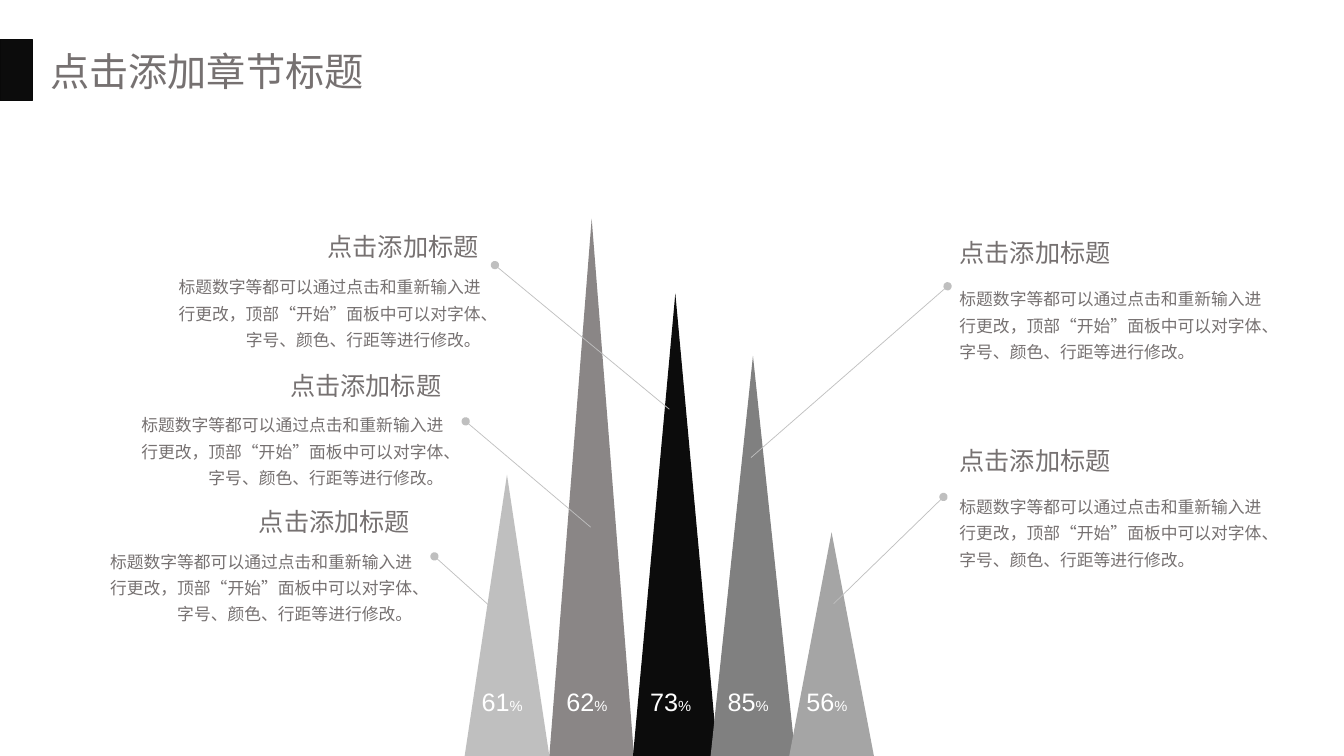
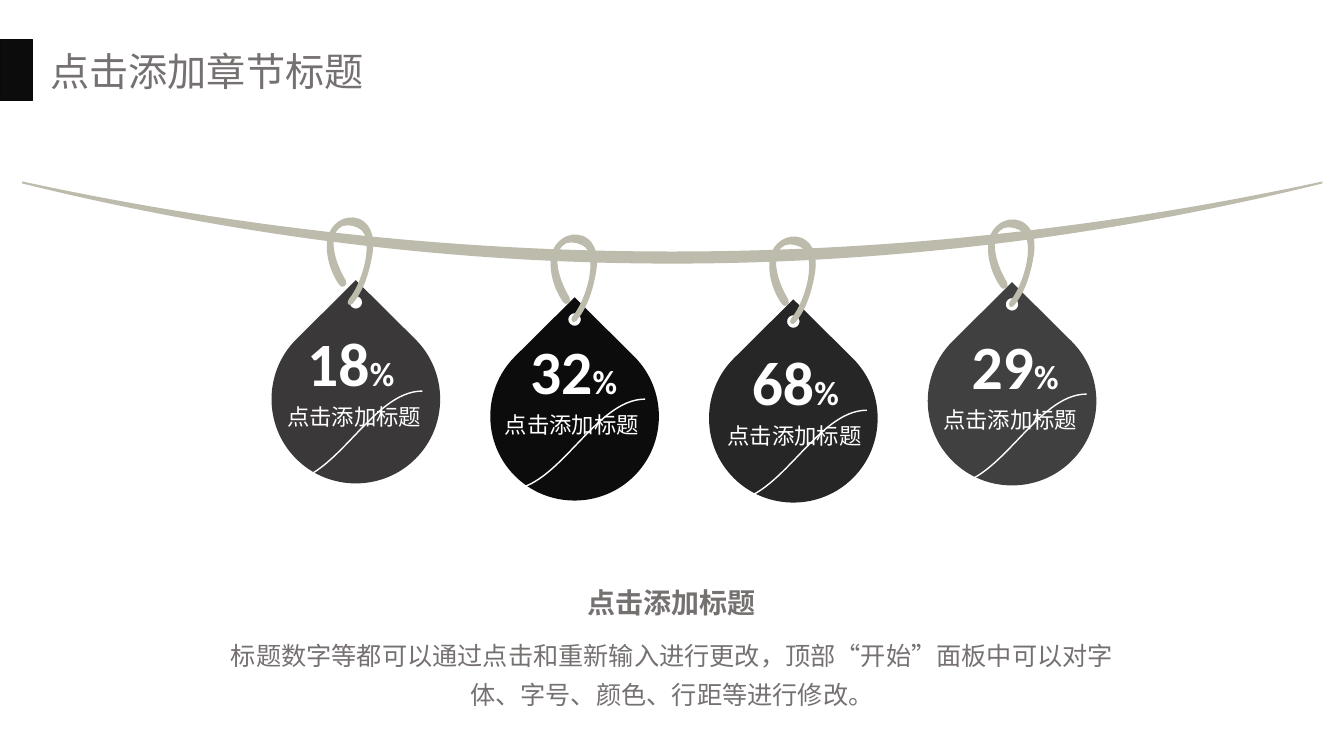
from dataclasses import dataclass
from typing import Optional

from lxml import etree
from pptx import Presentation
from pptx.dml.color import RGBColor
from pptx.enum import shapes, text
from pptx.oxml.ns import qn
from pptx.util import Inches, Pt

COLUMNS, ROWS = 133.33, 75
Point = tuple[float, float]


@dataclass(frozen=True)
class Theme:
    ink: str = "0C0C0C"
    band_edge: str = "090909"
    gray: str = "767171"
    pale: str = "BFBFBF"
    rope: str = "BDBBAB"
    white: str = "FFFFFF"
    cjk: str = "Noto Sans CJK SC"
    sans: str = "Arial"
    body: str = "Calibri"
    title_size: float = 28
    head_size: float = 18
    note_size: float = 12
    label_size: float = 16
    summary_head_size: float = 20


THEME = Theme()


@dataclass(frozen=True)
class TextStyle:
    size: float
    font: str = THEME.cjk
    color: str = THEME.gray
    bold: bool = False
    align: text.PP_ALIGN = text.PP_ALIGN.LEFT
    spacing: float = 1.0
    wrap: bool = False
    unit_size: Optional[float] = None


@dataclass(frozen=True)
class Spike:
    left: float
    top: float
    color: str
    value: str


@dataclass(frozen=True)
class Leader:
    start: Point
    end: Point


@dataclass(frozen=True)
class Note:
    left: float
    top: float
    right_aligned: bool = False


@dataclass(frozen=True)
class Tag:
    apex: Point
    value: str
    color: str
    value_at: Point
    label_left: float
    loop_shift: float = 0


CHAPTER = "点击添加章节标题"
HEADING = "点击添加标题"
DESCRIPTION = ("标题数字等都可以通过点击和重新输入进行更改，顶部“开始”面板中"
               "可以对字体、字号、颜色、行距等进行修改。")

TITLE = TextStyle(THEME.title_size)
HEAD = TextStyle(THEME.head_size)
SPIKE_VALUE = TextStyle(18, THEME.sans, THEME.white, unit_size=10.5)
TAG_VALUE = TextStyle(44, THEME.body, THEME.white, bold=True, unit_size=24)
TAG_LABEL = TextStyle(THEME.label_size, THEME.sans, THEME.white)
NOTE_LEFT = TextStyle(THEME.note_size, THEME.body, spacing=1.3, wrap=True)
NOTE_RIGHT = TextStyle(THEME.note_size, THEME.body, align=text.PP_ALIGN.RIGHT,
                       spacing=1.3, wrap=True)
SUMMARY = TextStyle(THEME.head_size, align=text.PP_ALIGN.CENTER, spacing=1.3, wrap=True)
SUMMARY_HEAD = TextStyle(THEME.summary_head_size, THEME.sans, bold=True,
                         align=text.PP_ALIGN.CENTER)

SPIKE_WIDTH = 8.4
SPIKES = [
    Spike(46.1, 47.1, THEME.pale, "61"),
    Spike(54.5, 21.7, "8A8686", "62"),
    Spike(62.8, 29.1, THEME.ink, "73"),
    Spike(70.5, 35.3, "808080", "85"),
    Spike(78.3, 52.8, "A5A5A5", "56"),
]
LEADERS = [
    Leader((82.7, 59.9), (93.6, 49.3)),
    Leader((74.5, 45.4), (94, 28.4)),
    Leader((66.4, 40.6), (49.1, 26.3)),
    Leader((58.6, 52.3), (46.2, 41.8)),
    Leader((49.9, 61.3), (43.1, 55.2)),
]
NOTE_WIDTH, NOTE_HEIGHT, HEAD_WIDTH = 33, 8.9, 17.2
NOTES = [
    Note(94.2, 23.1),
    Note(94.2, 43.7),
    Note(15.7, 22.5, True),
    Note(12, 36.2, True),
    Note(8.9, 49.7, True),
]
TAGS = [
    Tag((35.3, 27.8), "18", "3A3838", (29.5, 31.7), 27.5, -0.5),
    Tag((57, 29.5), "32", THEME.ink, (51.6, 32.5), 49.1),
    Tag((78.7, 29.7), "68", "262626", (73.6, 33.6), 71.2),
    Tag((100.4, 28), "29", "404040", (95.4, 32), 92.6),
]
LOOP = [
    (0.2, 2.3), (1.3, 1), (1.8, -0.7), (2.1, -2.3), (2.4, -3.7), (2.3, -5.5),
    (0.8, -6.1), (-0.6, -6.6), (-2, -5.6), (-2.3, -4.2), (-2.6, -2.6),
    (-2, -0.7), (-1.1, 0.5), (-0.9, 0.9), (-0.2, 0.5), (-0.5, 0),
    (-1.1, -1), (-1.6, -2.2), (-1.7, -3.4), (-1.7, -4), (-1.7, -4.7),
    (-1.2, -5.1), (-0.8, -5.6), (0.1, -5.5), (0.7, -5.2), (1.9, -4.7),
    (1.6, -2.7), (1.4, -1.7), (1.1, -0.4), (0.6, 0.9), (-0.2, 1.9),
    (-0.5, 2.3), (-0.1, 2.7), (0.2, 2.3),
]


def cells(*counts: float) -> list[int]:
    return [Inches(count / 10) for count in counts]


def rgb(color: str) -> RGBColor:
    return RGBColor.from_string(color)


def shift(points: list[Point], origin: Point) -> list[Point]:
    return [(x + origin[0], y + origin[1]) for x, y in points]


def paint(shape, fill: Optional[str], line: Optional[str] = None, width: float = 1) -> None:
    shape.shadow.inherit = False
    if fill:
        shape.fill.solid()
        shape.fill.fore_color.rgb = rgb(fill)
    else:
        shape.fill.background()
    if line:
        shape.line.color.rgb = rgb(line)
        shape.line.width = Pt(width)
    else:
        shape.line.fill.background()


def write(frame, content: str, style: TextStyle) -> None:
    frame.word_wrap = style.wrap
    paragraph = frame.paragraphs[0]
    paragraph.alignment = style.align
    paragraph.line_spacing = style.spacing
    font = paragraph.font
    font.bold = style.bold
    font.color.rgb = rgb(style.color)
    font.name = style.font
    defaults = paragraph._p.pPr.find(qn("a:defRPr"))
    etree.SubElement(defaults, qn("a:ea"), typeface=THEME.cjk)
    run = paragraph.add_run()
    run.text = content
    if style.unit_size is None:
        font.size = Pt(style.size)
    else:
        run.font.size = Pt(style.size)
        unit = paragraph.add_run()
        unit.text = "%"
        unit.font.size = Pt(style.unit_size)


def add_text(slide, box: tuple[float, float, float, float], content: str,
             style: TextStyle) -> None:
    frame = slide.shapes.add_textbox(*cells(*box)).text_frame
    frame.auto_size = text.MSO_AUTO_SIZE.SHAPE_TO_FIT_TEXT
    write(frame, content, style)


def add_curves(slide, contours: list[list[Point]], closed: bool = True):
    builder = slide.shapes.build_freeform(*cells(*contours[0][0]))
    for index, contour in enumerate(contours):
        if index:
            builder.move_to(*cells(*contour[0]))
        builder.add_line_segments([cells(*point) for point in contour[1:]], close=closed)
    shape = builder.convert_to_shape()
    segments = shape._element.xpath(".//a:lnTo")
    for first, second, third in zip(segments[::3], segments[1::3], segments[2::3]):
        curve = etree.Element(qn("a:cubicBezTo"))
        first.addprevious(curve)
        for segment in (first, second, third):
            curve.append(segment[0])
            segment.getparent().remove(segment)
    return shape


def quarter_arcs(radius: float, count: int) -> list[Point]:
    corner = radius * 0.71
    far, near = corner * 1.55, corner * 0.45
    points = [(-corner, -corner)]
    arc = [(-far, -near), (-far, near), (-corner, corner)]
    for _ in range(count):
        points += arc
        arc = [(y, -x) for x, y in arc]
    return points


def add_slide(presentation):
    slide = presentation.slides.add_slide(presentation.slide_layouts[5])
    band = slide.shapes.add_shape(shapes.MSO_SHAPE.RECTANGLE, *cells(0, 3.9, 3.2, 6.1))
    paint(band, THEME.ink, THEME.band_edge)
    title = slide.shapes.title
    title.left, title.top, title.width, title.height = cells(4, 4.2, 33.4, 5.7)
    title.text_frame.vertical_anchor = text.MSO_ANCHOR.MIDDLE
    write(title.text_frame, CHAPTER, TITLE)
    return slide


def add_spike(slide, spike: Spike) -> None:
    triangle = slide.shapes.add_shape(
        shapes.MSO_SHAPE.ISOSCELES_TRIANGLE,
        *cells(spike.left, spike.top, SPIKE_WIDTH, ROWS - spike.top))
    paint(triangle, spike.color)
    add_text(slide, (spike.left + 0.7, 67.6, 6.1, 4), spike.value, SPIKE_VALUE)


def add_leader(slide, leader: Leader) -> None:
    connector = slide.shapes.add_connector(
        shapes.MSO_CONNECTOR.STRAIGHT, *cells(*leader.start, *leader.end))
    connector.line.color.rgb = rgb(THEME.pale)
    connector.line.width = Pt(0.5)
    etree.SubElement(connector.line._get_or_add_ln(), qn("a:tailEnd"), type="oval")
    etree.SubElement(connector._element.spPr, qn("a:effectLst"))


def add_note(slide, note: Note) -> None:
    indent = NOTE_WIDTH - HEAD_WIDTH if note.right_aligned else 0
    drop = 3.9 if note.right_aligned else 4.5
    style = NOTE_RIGHT if note.right_aligned else NOTE_LEFT
    add_text(slide, (note.left + indent, note.top, HEAD_WIDTH, 4), HEADING, HEAD)
    add_text(slide, (note.left, note.top + drop, NOTE_WIDTH, NOTE_HEIGHT), DESCRIPTION, style)


def add_rope(slide) -> None:
    left, right, top, bottom = 2.2, 131.2, 18, 18.2
    third = (right - left) / 3
    upper, lower = top + 9.27, bottom + 10.6
    contour = [(left, top), (left + third, upper), (right - third, upper), (right, top),
               *[(right, bottom)] * 3,
               (right - third, lower), (left + third, lower), (left, bottom)]
    paint(add_curves(slide, [contour]), THEME.rope)


def add_tag(slide, tag: Tag) -> None:
    x, y = tag.apex
    drop = shift(quarter_arcs(8.34, 3), (x, y + 11.8)) + [tag.apex] * 3
    hole = shift(quarter_arcs(0.62, 4), (x, y + 2.2))
    paint(add_curves(slide, [drop, hole]), tag.color)
    paint(add_curves(slide, [shift(LOOP, (x + tag.loop_shift, y))]), THEME.rope)
    left, top = tag.value_at
    add_text(slide, (left, top, 10.7, 8.4), tag.value, TAG_VALUE)
    add_text(slide, (tag.label_left, top + 7.8, 15.5, 3.7), HEADING, TAG_LABEL)
    swoosh = shift([(0, 9), (5, 9), (8.6, 0), (13.6, 0)], (left - 1.2, top + 7.1))
    paint(add_curves(slide, [swoosh], closed=False), None, THEME.white)


def build_spikes(presentation) -> None:
    slide = add_slide(presentation)
    for spike in SPIKES:
        add_spike(slide, spike)
    for leader in LEADERS:
        add_leader(slide, leader)
    for note in NOTES:
        add_note(slide, note)


def build_tags(presentation) -> None:
    slide = add_slide(presentation)
    add_rope(slide)
    for tag in TAGS:
        add_tag(slide, tag)
    add_text(slide, (21.5, 62.1, 90.3, 8.5), DESCRIPTION, SUMMARY)
    add_text(slide, (57.2, 57.6, 18.8, 4.4), HEADING, SUMMARY_HEAD)


def main() -> None:
    presentation = Presentation()
    presentation.slide_width, presentation.slide_height = cells(COLUMNS, ROWS)
    build_spikes(presentation)
    build_tags(presentation)
    presentation.save("out.pptx")


if __name__ == "__main__":
    main()
